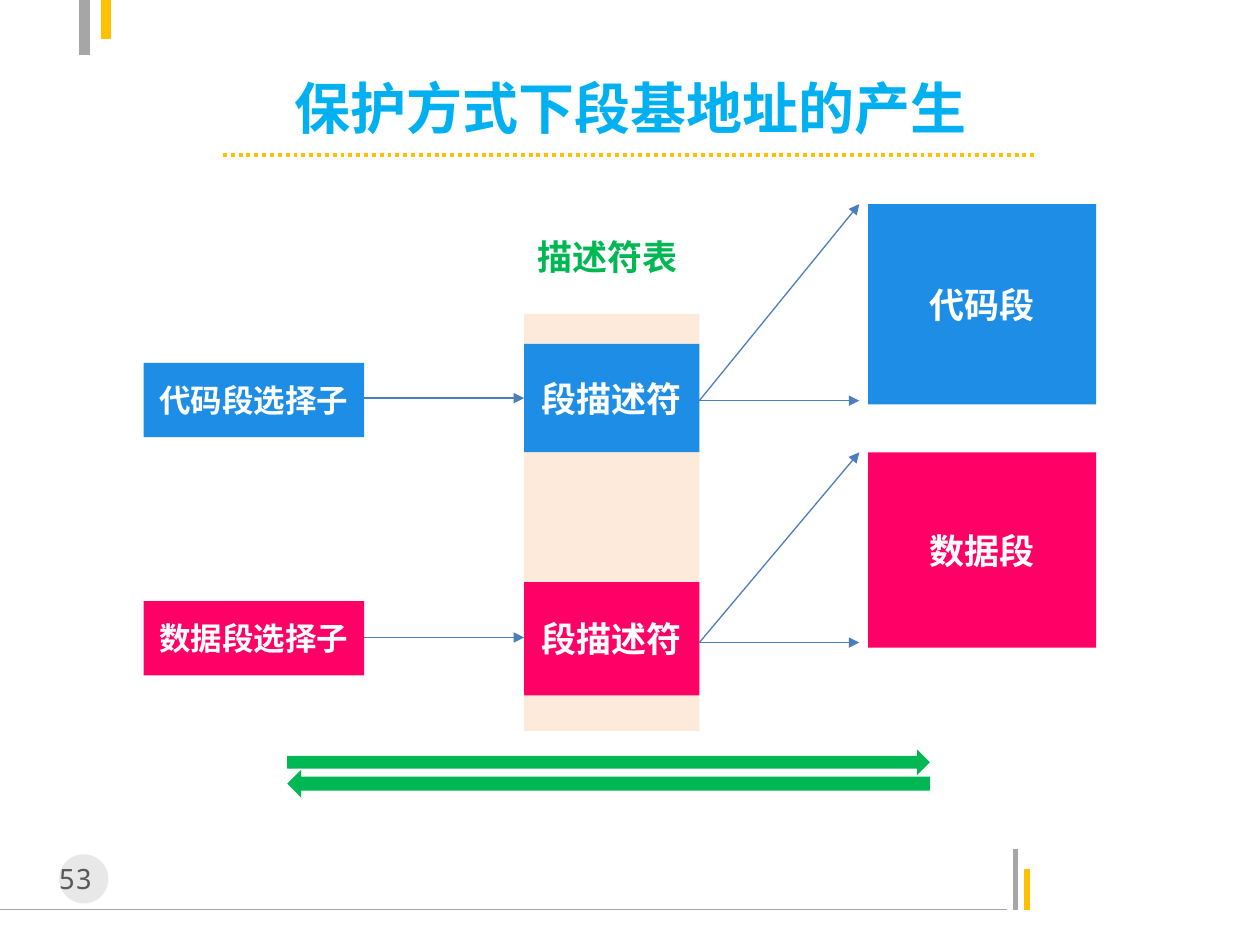
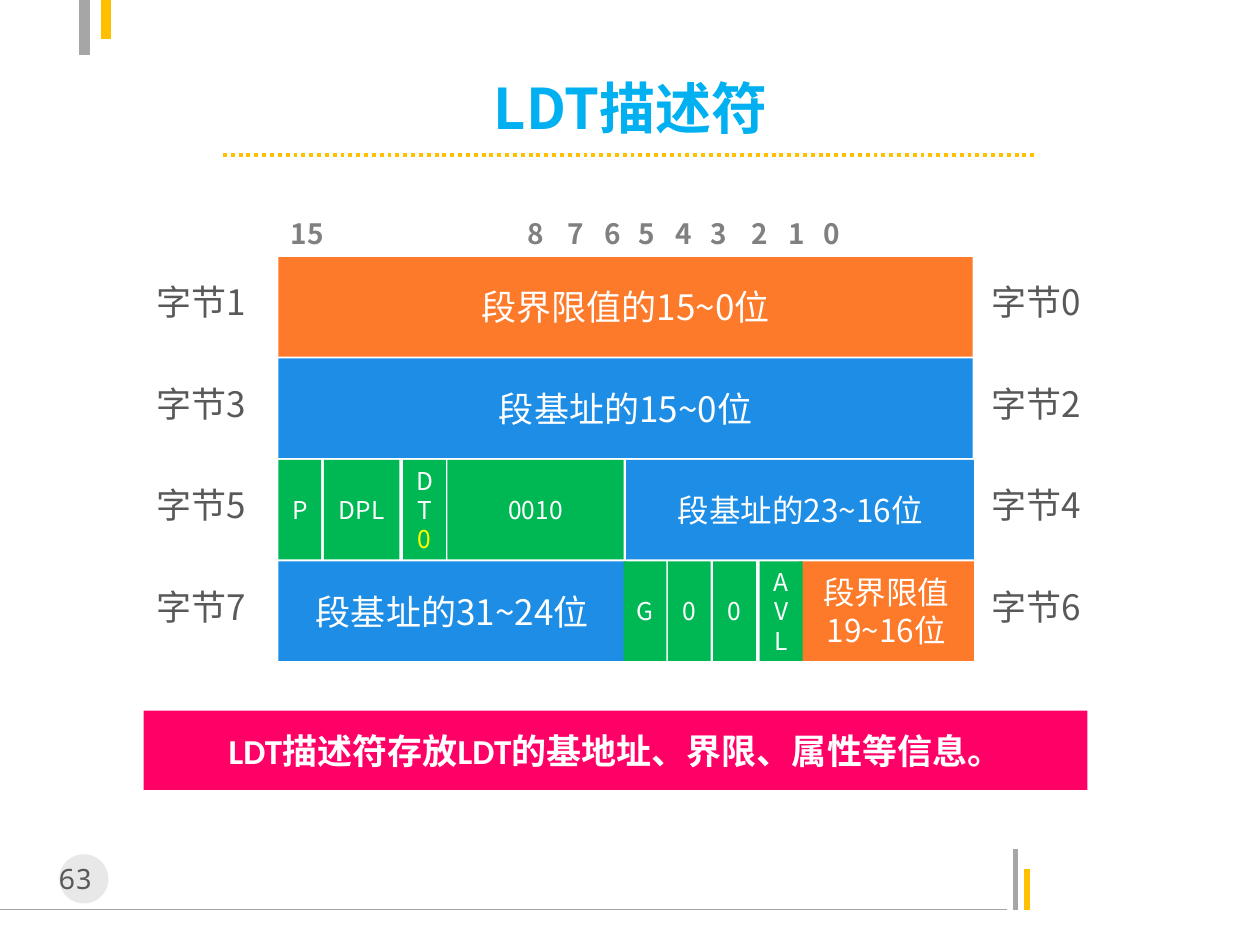
from lxml import etree
from pptx import Presentation
from pptx.dml.color import RGBColor
from pptx.enum.dml import MSO_LINE as Dash
from pptx.enum.shapes import MSO_CONNECTOR as Conn, MSO_SHAPE as Form
from pptx.enum.text import MSO_ANCHOR as Anchor, PP_ALIGN as Align
from pptx.oxml.ns import qn
from pptx.util import Inches, Pt

SKY = RGBColor(0x00, 0xB0, 0xF0)
BLUE = RGBColor(0x1D, 0x8D, 0xE5)
PINK = RGBColor(0xFF, 0x00, 0x66)
GREEN = RGBColor(0x00, 0xB8, 0x53)
ORANGE = RGBColor(0xFD, 0x7A, 0x2A)
PEACH = RGBColor(0xFD, 0xEA, 0xDA)
GOLD = RGBColor(0xFF, 0xC0, 0x00)
YELLOW = RGBColor(0xFF, 0xFF, 0x00)
STEEL = RGBColor(0x4B, 0x7E, 0xBC)
SILVER = RGBColor(0xA6, 0xA6, 0xA6)
PALE = RGBColor(0xBF, 0xBF, 0xBF)
GREY = RGBColor(0x80, 0x80, 0x80)
DARK = RGBColor(0x59, 0x59, 0x59)
WHITE = RGBColor(0xFF, 0xFF, 0xFF)

SANS = "Noto Sans CJK SC"
MONO = "Noto Sans Mono"
LATIN = "Calibri"


def put(slide, box, text="", size=20, fill=None, color=WHITE, font=SANS,
        bold=False, align=Align.CENTER, anchor=Anchor.MIDDLE, form=Form.RECTANGLE):
    """Add a filled shape, or a text box when there is no fill."""
    area = [Inches(n) for n in box]
    if fill is None:
        shape = slide.shapes.add_textbox(*area)
    else:
        shape = slide.shapes.add_shape(form, *area)
        shape.shadow.inherit = False
        shape.fill.solid()
        shape.fill.fore_color.rgb = fill
        shape.line.fill.background()
    frame = shape.text_frame
    frame.word_wrap = True
    frame.vertical_anchor = anchor
    frame.text = text
    for para in frame.paragraphs:
        para.alignment = align
        for run in para.runs:
            run.font.size = Pt(size)
            run.font.bold = bold
            run.font.color.rgb = color
            run.font.name = font
            east = etree.SubElement(run.font._element, qn("a:ea"))
            east.set("typeface", SANS)
    return shape


def link(slide, start, end, color=STEEL, width=0.75, arrow=False):
    """Add a straight line, with an arrowhead at its end if asked."""
    line = slide.shapes.add_connector(Conn.STRAIGHT, *[Inches(n) for n in start + end])
    line.line.color.rgb = color
    line.line.width = Pt(width)
    if arrow:
        etree.SubElement(line.line._get_or_add_ln(), qn("a:tailEnd")).set("type", "triangle")
    etree.SubElement(line._element.spPr, qn("a:effectLst"))
    return line


deck = Presentation()
deck.slide_width, deck.slide_height = Inches(10), Inches(7.5)
blank = deck.slide_layouts[6]

# Shared frame: edge lines, page number, title and dotted rule
EDGES = [
    ((0, 7.22), (7.99, 7.22), SILVER, 0.75),
    ((8.06, 7.22), (8.06, 6.74), SILVER, 3),
    ((8.15, 7.22), (8.15, 6.9), GOLD, 3),
    ((0.67, 0), (0.67, 0.44), SILVER, 6),
    ((0.84, 0), (0.84, 0.31), GOLD, 6),
]
slides = []
for number, title in [("53 ", "保护方式下段基地址的产生"), ("63 ", "LDT描述符")]:
    slide = deck.slides.add_slide(blank)
    for edge in EDGES:
        link(slide, *edge)
    disc = put(slide, (0.47, 6.78, 0.39, 0.39), fill=PALE, form=Form.OVAL)
    tint = disc._element.spPr.find(qn("a:solidFill"))[0]
    etree.SubElement(tint, qn("a:alpha")).set("val", "35000")
    put(slide, (0.31, 6.79, 0.71, 0.37), number, 16, color=DARK, font=MONO,
        anchor=Anchor.TOP)
    put(slide, (1.38, 0.6, 7.25, 0.5), title, 32, color=SKY, bold=True)
    link(slide, (1.77, 1.23), (8.23, 1.23), GOLD, 2.25).line.dash_style = Dash.ROUND_DOT
    slides.append(slide)
flow, layout = slides

# Selectors point to descriptors, descriptors to segments
put(flow, (4.13, 1.81, 1.39, 0.46), "描述符表", color=GREEN, font=LATIN, bold=True)
put(flow, (4.16, 2.49, 1.39, 3.31), fill=PEACH)
PATHS = [
    # name, fill, selector top, descriptor top/height, segment top/height, line in, line out
    ("代码段", BLUE, 2.88, 2.73, 0.86, 1.62, 1.59, 3.16, 3.18),
    ("数据段", PINK, 4.77, 4.62, 0.9, 3.59, 1.55, 5.06, 5.1),
]
for name, fill, pick, desc, tall, seg, high, enter, leave in PATHS:
    look = dict(fill=fill, font=LATIN, bold=True)
    put(flow, (1.14, pick, 1.75, 0.59), name + "选择子", 18, **look)
    put(flow, (4.16, desc, 1.39, tall), "段描述符", **look)
    put(flow, (6.89, seg, 1.81, high), name, **look)
    link(flow, (2.89, enter), (4.16, enter), arrow=True)
    for end in (leave, seg):
        link(flow, (5.55, leave), (6.82, end), arrow=True)
put(flow, (2.28, 5.95, 5.1, 0.2), fill=GREEN, form=Form.RIGHT_ARROW)
put(flow, (2.28, 6.11, 5.1, 0.22), fill=GREEN, form=Form.LEFT_ARROW)

# Bit numbers stand on tab stops above the descriptor
bits = put(layout, (2.21, 1.67, 5.56, 0.37), "15\t8\t7\t6\t5\t4\t3\t2\t1\t0", 16,
           color=GREY, bold=True, align=Align.LEFT, anchor=Anchor.TOP)
tabs = etree.SubElement(bits.text_frame.paragraphs[0]._p.get_or_add_pPr(), qn("a:tabLst"))
for stop in (1.88, 2.2, 2.49, 2.76, 3.05, 3.33, 3.66, 3.95, 4.23):
    tab = etree.SubElement(tabs, qn("a:tab"))
    tab.set("pos", str(Inches(stop)))
    tab.set("algn", "l")

# Descriptor fields, row by row: left, width, text, size, fill
ROWS = [
    [(2.21, 5.51, "段界限值的15~0位", 20, ORANGE)],
    [(2.21, 5.51, "段基址的15~0位", 20, BLUE)],
    [
        (4.97, 2.76, "段基址的23~16位", 18, BLUE),
        (2.21, 0.34, "P", 14, GREEN),
        (2.57, 0.6, "DPL", 14, GREEN),
        (3.2, 0.34, "DT\n0", 14, GREEN),
        (3.55, 1.4, "0010", 14, GREEN),
    ],
    [
        (2.21, 2.76, "段基址的31~24位", 20, BLUE),
        (6.34, 1.39, "段界限值19~16位", 18, ORANGE),
        (4.95, 0.34, "G", 14, GREEN),
        (5.3, 0.34, "0", 14, GREEN),
        (5.66, 0.34, "0", 14, GREEN),
        (6.03, 0.34, "AVL", 14, GREEN),
    ],
]
for i, row in enumerate(ROWS):
    top = 2.04 + i * 0.805
    for left, width, text, size, fill in row:
        cell = put(layout, (left, top, width, 0.79), text, size, fill)
        if text.startswith("DT"):
            cell.text_frame.paragraphs[1].runs[0].font.color.rgb = YELLOW
    for left, byte in [(1.14, 2 * i + 1), (7.77, 2 * i)]:
        put(layout, (left, top + 0.14, 0.93, 0.44), f"字节{byte}", color=DARK,
            align=Align.LEFT, anchor=Anchor.TOP)

put(layout, (1.14, 5.64, 7.49, 0.63), "LDT描述符存放LDT的基地址、界限、属性等信息。",
    fill=PINK, font=LATIN, bold=True)

deck.save("out.pptx")
